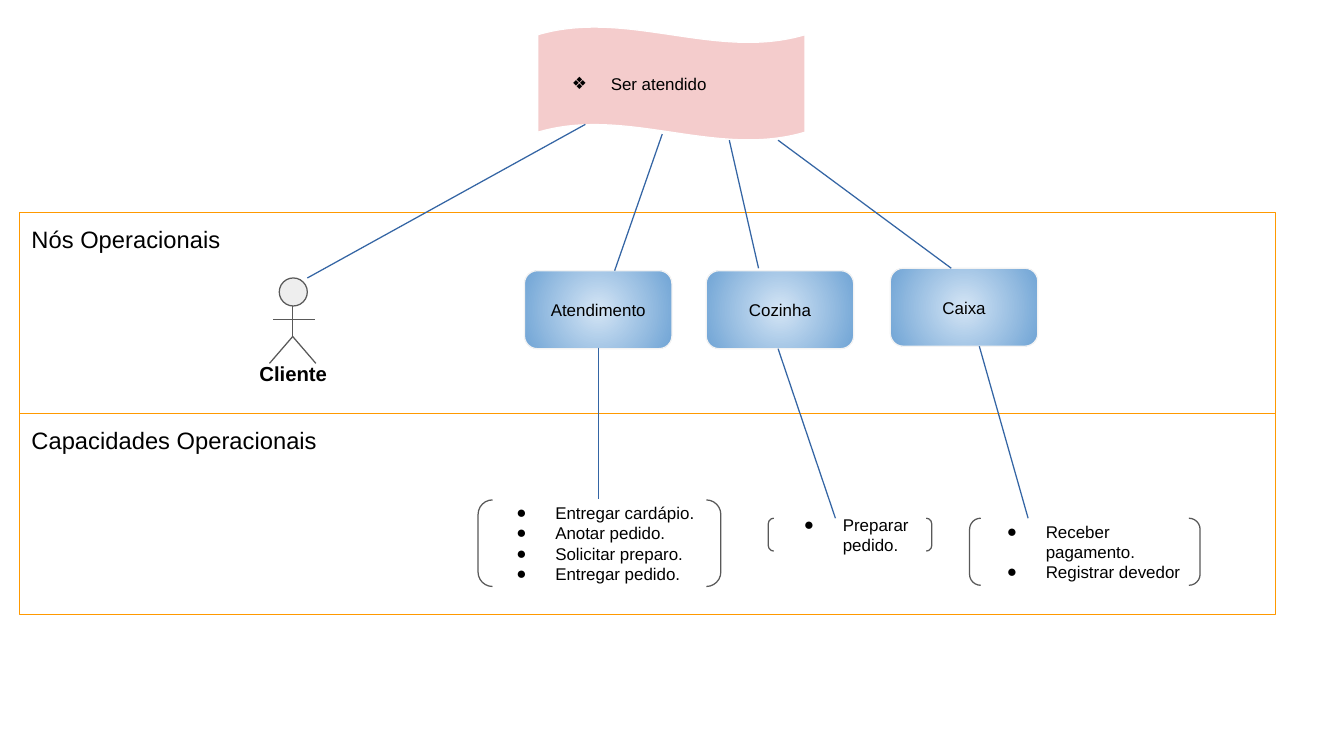
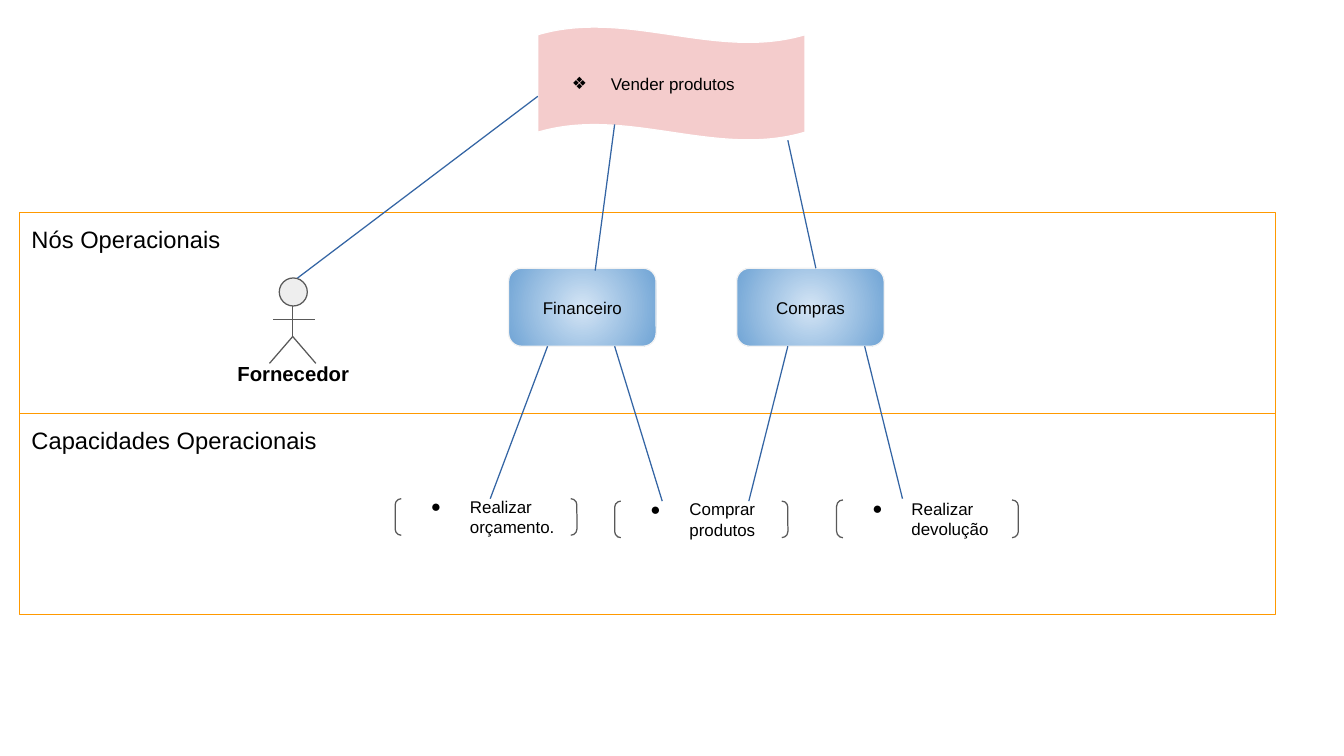
from dataclasses import dataclass
from typing import Any, NamedTuple

from lxml import etree
from pptx import Presentation
from pptx import util as u
from pptx.dml import color
from pptx.enum import shapes, text
from pptx.oxml import ns

FONT = "Arial"
BLACK = "000000"
ORANGE = "FF9900"
PINK = "F4CCCC"
WHITE = "FFFFFF"
GREY = "595959"
HEAD_GREY = "EEEEEE"
NODE_EDGE = "F3F3F3"
NODE_CENTRE = "D4E5F5"
NODE_RIM = "70A4D5"
LINK_BLUE = "3465A4"

EDGE_WIDTH = 0.75
BAND_TITLES = ("Nós Operacionais", "Capacidades Operacionais")
DIAMOND, DISC = "❖", "●"
KIND = shapes.MSO_SHAPE
MIDDLE = text.MSO_ANCHOR.MIDDLE
CENTRE = text.PP_ALIGN.CENTER


class Area(NamedTuple):
    """Left, top, width and height in inches."""
    left: float
    top: float
    width: float
    height: float


class Link(NamedTuple):
    """End points of a straight line in inches."""
    x1: float
    y1: float
    x2: float
    y2: float


class Node(NamedTuple):
    """An operational node and its top-left corner."""
    name: str
    left: float
    top: float = 2.2


class Capability(NamedTuple):
    """A bracketed list of tasks."""
    area: Area
    tasks: tuple[str, ...]


@dataclass
class Diagram:
    """What distinguishes one slide from another."""
    goal: str
    actor: str
    nodes: list[Node]
    capabilities: list[Capability]
    links: list[Link]


BANNER = Area(4.41, 0.22, 2.19, 0.93)
ACTOR_HEAD = Area(2.29, 2.28, 0.23, 0.23)
ACTOR_LABEL = Area(1.79, 2.86, 1.23, 0.41)
ACTOR_LIMBS = (
    Link(2.4, 2.51, 2.4, 2.76),
    Link(2.24, 2.62, 2.58, 2.62),
    Link(2.4, 2.76, 2.21, 2.98),
    Link(2.4, 2.76, 2.59, 2.98),
)

DIAGRAMS = (
    Diagram(
        "Ser atendido", "Cliente",
        [Node("Atendimento", 4.3, 2.22), Node("Cozinha", 5.79, 2.22), Node("Caixa", 7.3)],
        [
            Capability(Area(3.92, 4.1, 1.99, 0.71),
                       ("Entregar cardápio.", "Anotar pedido.",
                        "Solicitar preparo.", "Entregar pedido.")),
            Capability(Area(6.3, 4.25, 1.34, 0.27), ("Preparar pedido.",)),
            Capability(Area(7.95, 4.25, 1.89, 0.55),
                       ("Receber pagamento.", "Registrar devedor")),
        ],
        [
            Link(4.8, 1.02, 2.52, 2.28), Link(5.43, 1.1, 5.04, 2.22),
            Link(5.98, 1.15, 6.22, 2.2), Link(6.38, 1.15, 7.8, 2.2),
            Link(4.91, 2.85, 4.91, 4.09), Link(6.38, 2.86, 6.85, 4.25),
            Link(8.03, 2.84, 8.43, 4.25),
        ],
    ),
    Diagram(
        "Vender produtos", "Fornecedor",
        [Node("Financeiro", 4.17), Node("Compras", 6.04)],
        [
            Capability(Area(3.24, 4.09, 1.49, 0.3), ("Realizar orçamento.",)),
            Capability(Area(5.04, 4.11, 1.42, 0.3), ("Comprar produtos",)),
            Capability(Area(6.86, 4.1, 1.49, 0.31), ("Realizar devolução",)),
        ],
        [
            Link(4.41, 0.79, 2.44, 2.28), Link(5.04, 1.02, 4.88, 2.22),
            Link(6.46, 1.15, 6.69, 2.2), Link(4.49, 2.84, 4.02, 4.09),
            Link(5.04, 2.84, 5.43, 4.11), Link(6.46, 2.84, 6.14, 4.11),
            Link(7.09, 2.84, 7.4, 4.09),
        ],
    ),
)


def rgb(value: str) -> color.RGBColor:
    """Turn a hex string into a colour."""
    return color.RGBColor.from_string(value)


def set_values(target: Any, values: dict[str, Any]) -> None:
    """Set each named attribute of the target."""
    for name, value in values.items():
        setattr(target, name, value)


def inches(lengths: tuple[float, ...]) -> list[u.Length]:
    """Turn plain numbers into lengths."""
    return [u.Inches(length) for length in lengths]


def add_bullet(para: Any, mark: str) -> None:
    """Give a paragraph a hanging bullet."""
    props = para._p.get_or_add_pPr()
    props.set("marL", str(u.Inches(0.5)))
    props.set("indent", str(u.Inches(-0.32)))
    tint = etree.SubElement(props, ns.qn("a:buClr"))
    etree.SubElement(tint, ns.qn("a:srgbClr"), val=BLACK)
    etree.SubElement(props, ns.qn("a:buFont"), typeface=FONT)
    etree.SubElement(props, ns.qn("a:buChar"), char=mark)


def write(box: Any, lines: tuple[str, ...], size: int = 10, bold: bool = False,
          anchor: Any = MIDDLE, align: Any = text.PP_ALIGN.LEFT, mark: str = "") -> None:
    """Write one paragraph per line into a shape."""
    frame = box.text_frame
    margins = {f"margin_{side}": u.Inches(0.1) for side in ("left", "top", "right", "bottom")}
    set_values(frame, {"word_wrap": True, "vertical_anchor": anchor, **margins})
    for index, line in enumerate(lines):
        para = frame.add_paragraph() if index else frame.paragraphs[0]
        para.alignment = align
        if mark:
            add_bullet(para, mark)
        span = para.add_run()
        span.text = line
        set_values(span.font, {"name": FONT, "size": u.Pt(size), "bold": bold})
        span.font.color.rgb = rgb(BLACK)


def add_box(page: Any, kind: Any, area: Area, edge: str, fill: str = "") -> Any:
    """Draw an outlined shape, unfilled unless a colour is given."""
    box = page.shapes.add_shape(kind, *inches(area))
    box.shadow.inherit = False
    box.line.color.rgb = rgb(edge)
    box.line.width = u.Pt(EDGE_WIDTH)
    if fill:
        box.fill.solid()
        box.fill.fore_color.rgb = rgb(fill)
    else:
        box.fill.background()
    return box


def add_line(page: Any, link: Link, tint: str) -> None:
    """Draw a straight line without a shadow."""
    line = page.shapes.add_connector(shapes.MSO_CONNECTOR.STRAIGHT, *inches(link))
    line.line.color.rgb = rgb(tint)
    line.line.width = u.Pt(EDGE_WIDTH)
    etree.SubElement(line._element.spPr, ns.qn("a:effectLst"))


def fill_radial(box: Any, centre: str, rim: str) -> None:
    """Fill a shape with a gradient that spreads from its centre."""
    box.fill.gradient()
    for stop, tint, position in zip(box.fill.gradient_stops, (centre, rim), (0, 1)):
        stop.color.rgb = rgb(tint)
        stop.position = position
    gradient = box._element.spPr.find(ns.qn("a:gradFill"))
    linear = gradient.find(ns.qn("a:lin"))
    radial = etree.Element(ns.qn("a:path"), path="circle")
    etree.SubElement(radial, ns.qn("a:fillToRect"),
                     {side: "50000" for side in "ltrb"})
    gradient.replace(linear, radial)


def add_bands(page: Any) -> None:
    """Draw the two titled bands."""
    height = 1.65
    for index, title in enumerate(BAND_TITLES):
        band = add_box(page, KIND.RECTANGLE, Area(0.16, 1.74 + index * height, 10.3, height), ORANGE)
        write(band, (title,), size=14, anchor=text.MSO_ANCHOR.TOP)


def add_banner(page: Any, goal: str) -> None:
    """Draw the waving banner that states the goal."""
    banner = add_box(page, KIND.WAVE, BANNER, WHITE, PINK)
    banner.adjustments[0] = 0.07
    banner.adjustments[1] = 0
    write(banner, (goal,), mark=DIAMOND)


def add_actor(page: Any, name: str) -> None:
    """Draw a named stick figure as one group."""
    figure = page.shapes.add_group_shape()
    add_box(figure, KIND.FLOWCHART_CONNECTOR, ACTOR_HEAD, GREY, HEAD_GREY)
    for limb in ACTOR_LIMBS:
        add_line(figure, limb, GREY)
    label = figure.shapes.add_textbox(*inches(ACTOR_LABEL))
    write(label, (name,), size=12, bold=True, anchor=text.MSO_ANCHOR.TOP, align=CENTRE)


def add_node(page: Any, node: Node) -> None:
    """Draw a rounded node with its name."""
    area = Area(node.left, node.top, 1.21, 0.64)
    box = add_box(page, KIND.ROUNDED_RECTANGLE, area, NODE_EDGE)
    fill_radial(box, NODE_CENTRE, NODE_RIM)
    write(box, (node.name,), align=CENTRE)


def add_capability(page: Any, capability: Capability) -> None:
    """Draw a list of tasks between brackets."""
    box = add_box(page, KIND.DOUBLE_BRACKET, capability.area, GREY)
    write(box, capability.tasks, mark=DISC)


def add_diagram(deck: Any, diagram: Diagram) -> None:
    """Build one slide from its description."""
    page = deck.slides.add_slide(deck.slide_layouts[6])
    add_bands(page)
    add_banner(page, diagram.goal)
    add_actor(page, diagram.actor)
    for node in diagram.nodes:
        add_node(page, node)
    for capability in diagram.capabilities:
        add_capability(page, capability)
    for link in diagram.links:
        add_line(page, link, LINK_BLUE)


def main() -> None:
    """Build and save the deck."""
    deck = Presentation()
    set_values(deck, {"slide_width": u.Inches(11.02), "slide_height": u.Inches(6.2)})
    for diagram in DIAGRAMS:
        add_diagram(deck, diagram)
    deck.save("out.pptx")


main()
